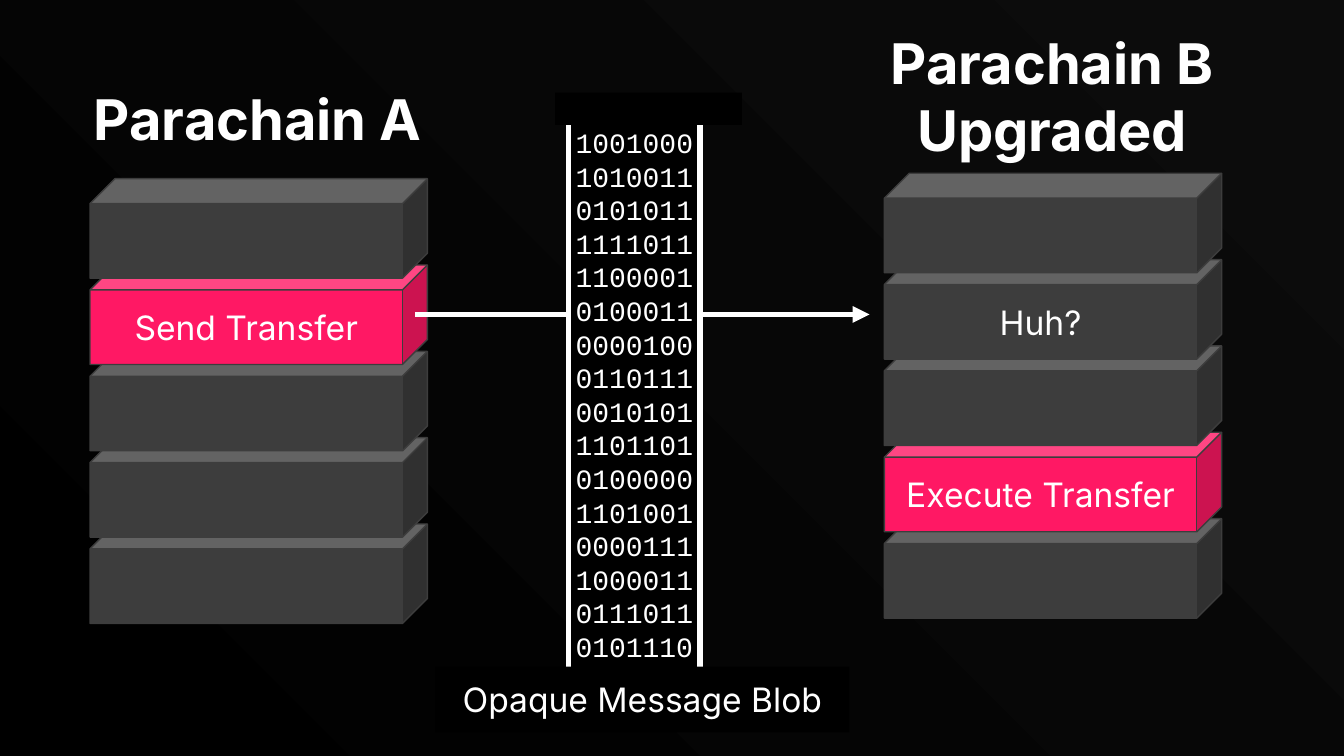
from lxml.etree import SubElement
from pptx import Presentation
from pptx.dml.color import RGBColor
from pptx.enum.shapes import MSO_CONNECTOR, MSO_SHAPE
from pptx.enum.text import MSO_ANCHOR, PP_ALIGN
from pptx.oxml.ns import qn
from pptx.util import Inches, Pt

W, H = 10, 5.625
COL, ROW = W / 100, H / 100
GREY, PINK, WHITE, BLACK = "3D3D3D", "FF1864", "FFFFFF", "000000"
CUBE_W, CUBE_H, PITCH = 25.1, 13.16, 11.42
BITS = (
    "1001000101001101010111111011110000101000110000100011011"
    "100101011101101010000011010010000111100001101110110101110"
)


def rgb(value):
    return RGBColor.from_string(value)


def cell(col, row, cols, rows):
    return [Inches(n) for n in (col * COL, row * ROW, cols * COL, rows * ROW)]


def write(shape, text, size=18, font="Inter", color=WHITE, bold=False, anchor=MSO_ANCHOR.MIDDLE):
    tf = shape.text_frame
    tf.word_wrap = True
    tf.vertical_anchor = anchor
    tf.margin_left = tf.margin_right = tf.margin_top = tf.margin_bottom = Inches(0.05)
    tf.text = text
    for p in tf.paragraphs:
        p.alignment = PP_ALIGN.CENTER
        for r in p.runs:
            r.font.name = font
            r.font.size = Pt(size)
            r.font.bold = bold
            r.font.color.rgb = rgb(color)


def add_block(s, kind, place, fill, line=None, width=0.75):
    sp = s.shapes.add_shape(kind, *cell(*place))
    sp.shadow.inherit = False
    sp.fill.solid()
    sp.fill.fore_color.rgb = rgb(fill)
    if line:
        sp.line.color.rgb = rgb(line)
        sp.line.width = Pt(width)
    else:
        sp.line.fill.background()
    return sp


def add_chain(s, col, top, blocks):
    for i, (text, fill) in reversed(list(enumerate(blocks))):
        place = col, top + i * PITCH, CUBE_W, CUBE_H
        sp = add_block(s, MSO_SHAPE.CUBE, place, fill, GREY)
        sp.adjustments[0] = 0.25
        if text:
            write(sp, text)


def add_title(s, text, place):
    sp = s.shapes.add_textbox(*cell(*place))
    write(sp, text, size=30, bold=True, anchor=MSO_ANCHOR.TOP)


def add_arrow(s, start, end, row):
    x1, y, length, _ = cell(start, row, end - start, 0)
    sp = s.shapes.add_connector(MSO_CONNECTOR.STRAIGHT, x1, y, x1 + length, y)
    sp.line.color.rgb = rgb(WHITE)
    sp.line.width = Pt(3)
    SubElement(sp.line._get_or_add_ln(), qn("a:tailEnd"), type="triangle")
    SubElement(sp._element.spPr, qn("a:effectLst"))


def set_background(s):
    fill = s.background.fill
    fill.gradient()
    fill.gradient_angle = 45
    for stop, position, color in zip(fill.gradient_stops, (0, 1), (BLACK, "0C0C0C")):
        stop.position = position
        stop.color.rgb = rgb(color)


def main():
    prs = Presentation()
    prs.slide_width, prs.slide_height = Inches(W), Inches(H)
    s = prs.slides.add_slide(prs.slide_layouts[6])
    set_background(s)

    plain = ("", GREY)
    add_chain(s, 6.7, 23.64, [plain, ("Send Transfer", PINK), plain, plain, plain])
    add_title(s, "Parachain A", (2.7, 10.31, 33, 10.84))
    add_chain(s, 65.8, 22.93, [plain, ("Huh?", GREY), plain, ("Execute Transfer", PINK), plain])
    add_title(s, "Parachain B\nUpgraded", (61.8, 2.84, 33, 19.73))

    add_arrow(s, 30.9, 64.7, 41.6)
    blob = add_block(s, MSO_SHAPE.RECTANGLE, (42.3, 15.64, 9.8, 73.07), BLACK, WHITE, 3)
    write(blob, BITS, size=15, font="Courier New")
    add_block(s, MSO_SHAPE.RECTANGLE, (41.3, 12.27, 13.9, 4.27), BLACK)
    label = add_block(s, MSO_SHAPE.RECTANGLE, (32.4, 88.18, 30.8, 8.71), BLACK)
    write(label, "Opaque Message Blob")

    prs.save("out.pptx")


if __name__ == "__main__":
    main()
